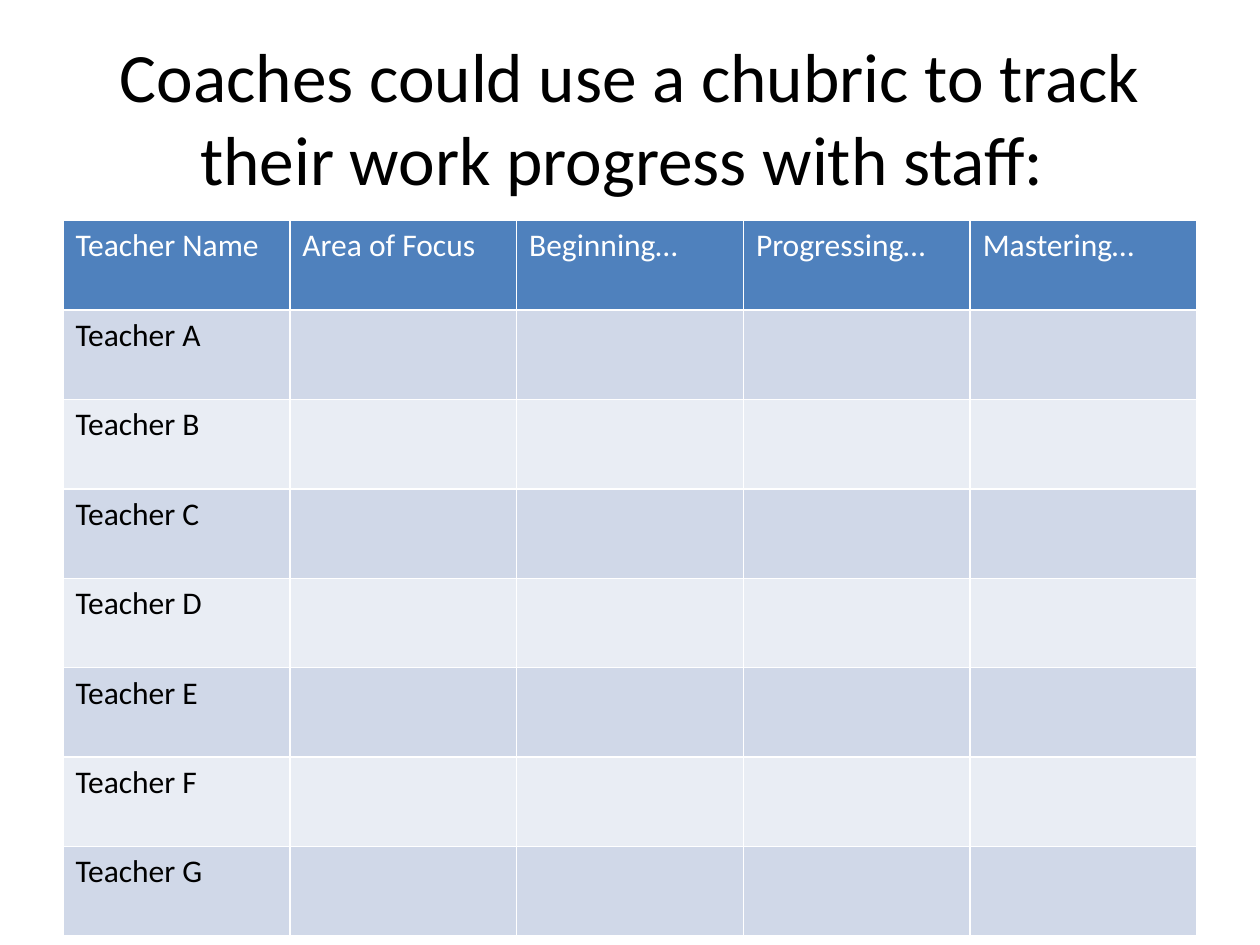
from pptx import Presentation
from pptx.dml.color import RGBColor
from pptx.enum import text
from pptx.util import Inches, Pt

COLORS = {
    "header": "4F81BD",
    "odd_row": "D0D8E8",
    "even_row": "E9EDF4",
    "light_text": "FFFFFF",
    "dark_text": "000000",
}
FONT = "Calibri"
HEADINGS = ["Teacher Name", "Area of Focus", "Beginning…", "Progressing…", "Mastering…"]
TEACHERS = [f"Teacher {letter}" for letter in "ABCDEFG"]
COL_WIDTH = 1.8
ROW_HEIGHT = 0.71


def color(name):
    return RGBColor.from_string(COLORS[name])


def add_run(p, words, size, color_name):
    r = p.add_run()
    r.text = words
    r.font.name = FONT
    r.font.size = Pt(size)
    r.font.bold = False
    r.font.color.rgb = color(color_name)


def set_title(s, words):
    sp = s.shapes.title
    sp.left, sp.top = Inches(0.5), Inches(0.3)
    sp.width, sp.height = Inches(9), Inches(1.25)
    tf = sp.text_frame
    tf.word_wrap = True
    tf.auto_size = text.MSO_AUTO_SIZE.NONE
    tf.vertical_anchor = text.MSO_ANCHOR.MIDDLE
    p = tf.paragraphs[0]
    p.alignment = text.PP_ALIGN.CENTER
    add_run(p, words, 39.6, "dark_text")


def fill_cell(cell, words, fill_name, text_name):
    cell.fill.solid()
    cell.fill.fore_color.rgb = color(fill_name)
    if words:
        add_run(cell.text_frame.paragraphs[0], words, 18, text_name)


def add_progress_table(s):
    blanks = [""] * (len(HEADINGS) - 1)
    rows = [HEADINGS] + [[teacher] + blanks for teacher in TEACHERS]
    table = s.shapes.add_table(
        len(rows), len(HEADINGS), Inches(0.5), Inches(1.75),
        Inches(COL_WIDTH * len(HEADINGS)), Inches(ROW_HEIGHT * len(rows))).table
    for column in table.columns:
        column.width = Inches(COL_WIDTH)
    for i, row in enumerate(rows):
        table.rows[i].height = Inches(ROW_HEIGHT)
        if i == 0:
            fill_name, text_name = "header", "light_text"
        else:
            fill_name, text_name = ("odd_row" if i % 2 else "even_row"), "dark_text"
        for j, words in enumerate(row):
            fill_cell(table.cell(i, j), words, fill_name, text_name)


def main():
    prs = Presentation()
    prs.slide_width, prs.slide_height = Inches(10), Inches(7.5)
    s = prs.slides.add_slide(prs.slide_layouts[5])
    set_title(s, "Coaches could use a chubric to track their work progress with staff: ")
    add_progress_table(s)
    prs.save("out.pptx")


if __name__ == "__main__":
    main()
